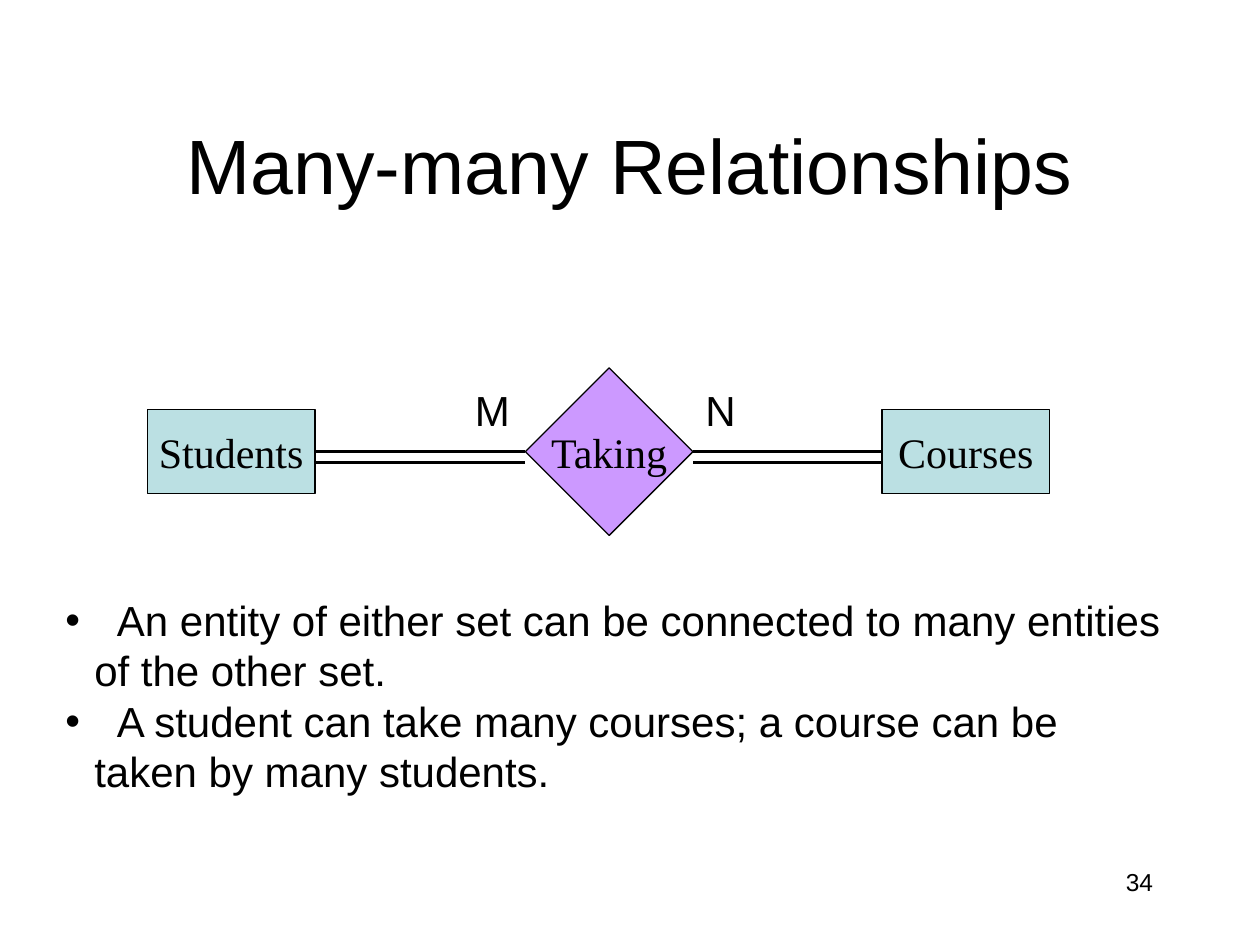
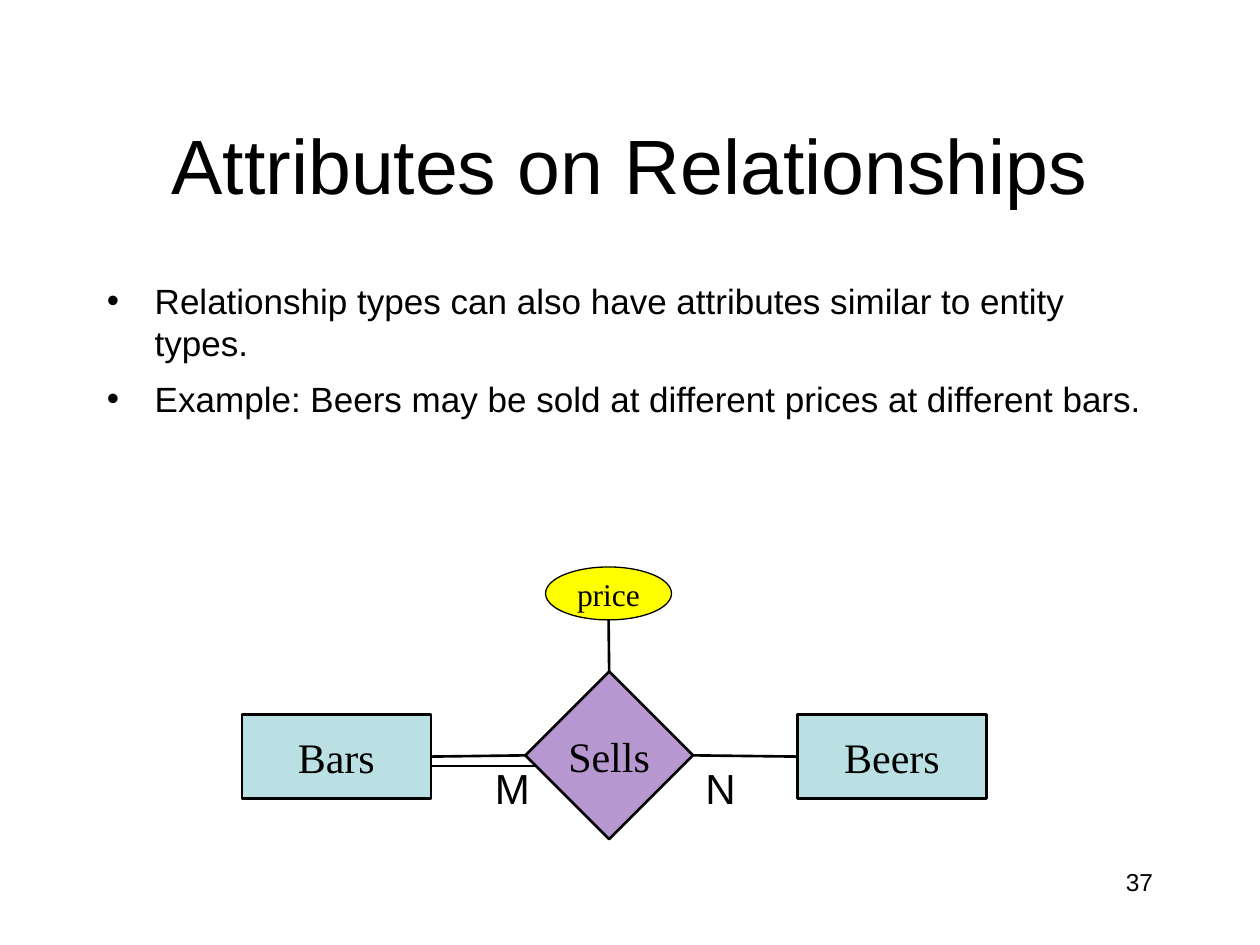
from pptx import Presentation
from pptx.dml.color import RGBColor
from pptx.enum.shapes import MSO_CONNECTOR, MSO_SHAPE
from pptx.enum.text import MSO_ANCHOR, PP_ALIGN
from pptx.oxml.ns import qn
from pptx.util import Inches, Pt
from lxml.etree import SubElement

BLACK = "000000"
ENTITY_FILL = "BBE0E3"
TAKING_FILL = "CC99FF"
SELLS_FILL = "7030A0"
ATTRIBUTE_FILL = "FFFF00"
SANS, SERIF = "Arial", "Times New Roman"
TOP, LEFT, BOTTOM, RIGHT = range(4)
DIAMOND_LEFT, DIAMOND_SIZE, ENTITY_HEIGHT = 4.17, 1.33, 0.67


def color(value):
    """Turn a hex string into a colour."""
    return RGBColor.from_string(value)


class Deck:
    """Holds the shared style and the slide being built."""

    def __init__(self):
        """Start an empty presentation of 10 by 7.5 inches."""
        self.presentation = Presentation()
        self.presentation.slide_width = Inches(10)
        self.presentation.slide_height = Inches(7.5)
        self.slide = None

    def add_slide(self, title, number):
        """Add a slide with its title and page number."""
        self.slide = self.presentation.slides.add_slide(self.presentation.slide_layouts[6])
        self.text([title], 0.75, 0.67, 8.5, 1.25, 44, PP_ALIGN.CENTER, MSO_ANCHOR.MIDDLE)
        self.text([str(number)], 7.17, 6.83, 2.08, 0.5, 14, PP_ALIGN.RIGHT)

    def style(self, paragraph, size, font, align):
        """Format a paragraph and its runs."""
        paragraph.alignment = align
        for run in paragraph.runs:
            run.font.size = Pt(size)
            run.font.name = font
            run.font.color.rgb = color(BLACK)

    def text(self, lines, left, top, width, height, size,
             align=PP_ALIGN.LEFT, anchor=MSO_ANCHOR.TOP):
        """Add a text box with one paragraph for each line."""
        box = self.slide.shapes.add_textbox(
            Inches(left), Inches(top), Inches(width), Inches(height))
        frame = box.text_frame
        frame.word_wrap = True
        frame.vertical_anchor = anchor
        frame.text = "\n".join(lines)
        for paragraph in frame.paragraphs:
            self.style(paragraph, size, SANS, align)
        return frame

    def bullets(self, lines, left, top, width, height, size, indent, gap=0, tab=None):
        """Add a bulleted list, with an optional tab stop for the first lines."""
        frame = self.text(lines, left, top, width, height, size)
        for index, paragraph in enumerate(frame.paragraphs):
            properties = paragraph._p.get_or_add_pPr()
            properties.set("marL", str(Inches(indent)))
            properties.set("indent", str(-Inches(indent)))
            SubElement(properties, qn("a:buFont"), typeface=SANS)
            SubElement(properties, qn("a:buChar"), char="•")
            if tab:
                stops = SubElement(properties, qn("a:tabLst"))
                SubElement(stops, qn("a:tab"), pos=str(Inches(tab)), algn="l")
            if index:
                paragraph.space_before = Pt(gap)

    def node(self, kind, label, left, top, width, height, fill,
             line_width=0.75, size=24, alpha=None):
        """Add a labelled diagram shape."""
        shape = self.slide.shapes.add_shape(
            kind, Inches(left), Inches(top), Inches(width), Inches(height))
        shape.shadow.inherit = False
        shape.fill.solid()
        shape.fill.fore_color.rgb = color(fill)
        if alpha:
            fill_color = shape._element.spPr.find(qn("a:solidFill"))[0]
            SubElement(fill_color, qn("a:alpha"), val=str(alpha * 1000))
        shape.line.color.rgb = color(BLACK)
        shape.line.width = Pt(line_width)
        frame = shape.text_frame
        frame.word_wrap = False
        frame.vertical_anchor = MSO_ANCHOR.MIDDLE
        frame.text = label
        self.style(frame.paragraphs[0], size, SERIF, PP_ALIGN.CENTER)
        return shape

    def entity(self, label, left, top, width, line_width):
        """Add an entity rectangle."""
        return self.node(MSO_SHAPE.RECTANGLE, label, left, top, width,
                         ENTITY_HEIGHT, ENTITY_FILL, line_width)

    def relationship(self, label, top, fill, line_width, alpha=None):
        """Add a relationship diamond."""
        return self.node(MSO_SHAPE.DIAMOND, label, DIAMOND_LEFT, top, DIAMOND_SIZE,
                         DIAMOND_SIZE, fill, line_width, alpha=alpha)

    def line(self, x1, y1, x2, y2):
        """Add a straight line."""
        connector = self.slide.shapes.add_connector(
            MSO_CONNECTOR.STRAIGHT, Inches(x1), Inches(y1), Inches(x2), Inches(y2))
        connector.line.color.rgb = color(BLACK)
        connector.line.width = Pt(1.5)
        SubElement(connector._element.spPr, qn("a:effectLst"))
        return connector

    def join(self, left_shape, right_shape):
        """Join the facing sides of two shapes."""
        connector = self.line(0, 0, 1, 1)
        connector.begin_connect(left_shape, RIGHT)
        connector.end_connect(right_shape, LEFT)

    def cardinalities(self, m_left, top):
        """Label the two sides of the relationship."""
        for label, left in (("M", m_left), ("N", 5.5)):
            self.text([label], left, top, 0.42, 0.5, 24)


def many_many(deck):
    """Build the slide on many-many relationships."""
    deck.add_slide("Many-many Relationships", 34)
    deck.bullets(
        ["\tAn entity of either set can be connected to many entities of the other set.",
         "\tA student can take many courses; a course can be taken by many students."],
        0.42, 4.67, 8.92, 1.7, 24, indent=0.23, tab=0.41)
    students = deck.entity("Students", 1.17, 3.25, 1.33, 0.75)
    courses = deck.entity("Courses", 7, 3.25, 1.33, 0.75)
    taking = deck.relationship("Taking", 2.92, TAKING_FILL, 0.75)
    deck.join(students, taking)
    deck.join(taking, courses)
    for start, end in ((2.5, 4.17), (5.5, 7)):
        deck.line(start, 3.67, end, 3.67)
    deck.cardinalities(3.67, 3)


def attributes(deck):
    """Build the slide on attributes of relationships."""
    deck.add_slide("Attributes on Relationships", 37)
    deck.bullets(
        ["Relationship types can also have attributes similar to entity types.",
         "Example: Beers may be sold at different prices at different bars."],
        0.75, 2.17, 8.5, 1.5, 20, indent=0.38, gap=8)
    bars = deck.entity("Bars", 1.92, 5.67, 1.5, 1.5)
    beers = deck.entity("Beers", 6.33, 5.67, 1.5, 1.5)
    sells = deck.relationship("Sells", 5.33, SELLS_FILL, 1.5, alpha=50)
    deck.join(bars, sells)
    deck.join(sells, beers)
    deck.node(MSO_SHAPE.OVAL, "price", 4.33, 4.5, 1, 0.42, ATTRIBUTE_FILL, size=18)
    deck.line(4.83, 4.92, 4.83, 5.33).end_connect(sells, TOP)
    deck.line(3.42, 6.08, 4.25, 6.08)
    deck.cardinalities(3.83, 6)


def main():
    """Build and save the presentation."""
    deck = Deck()
    many_many(deck)
    attributes(deck)
    deck.presentation.save("out.pptx")


if __name__ == "__main__":
    main()
